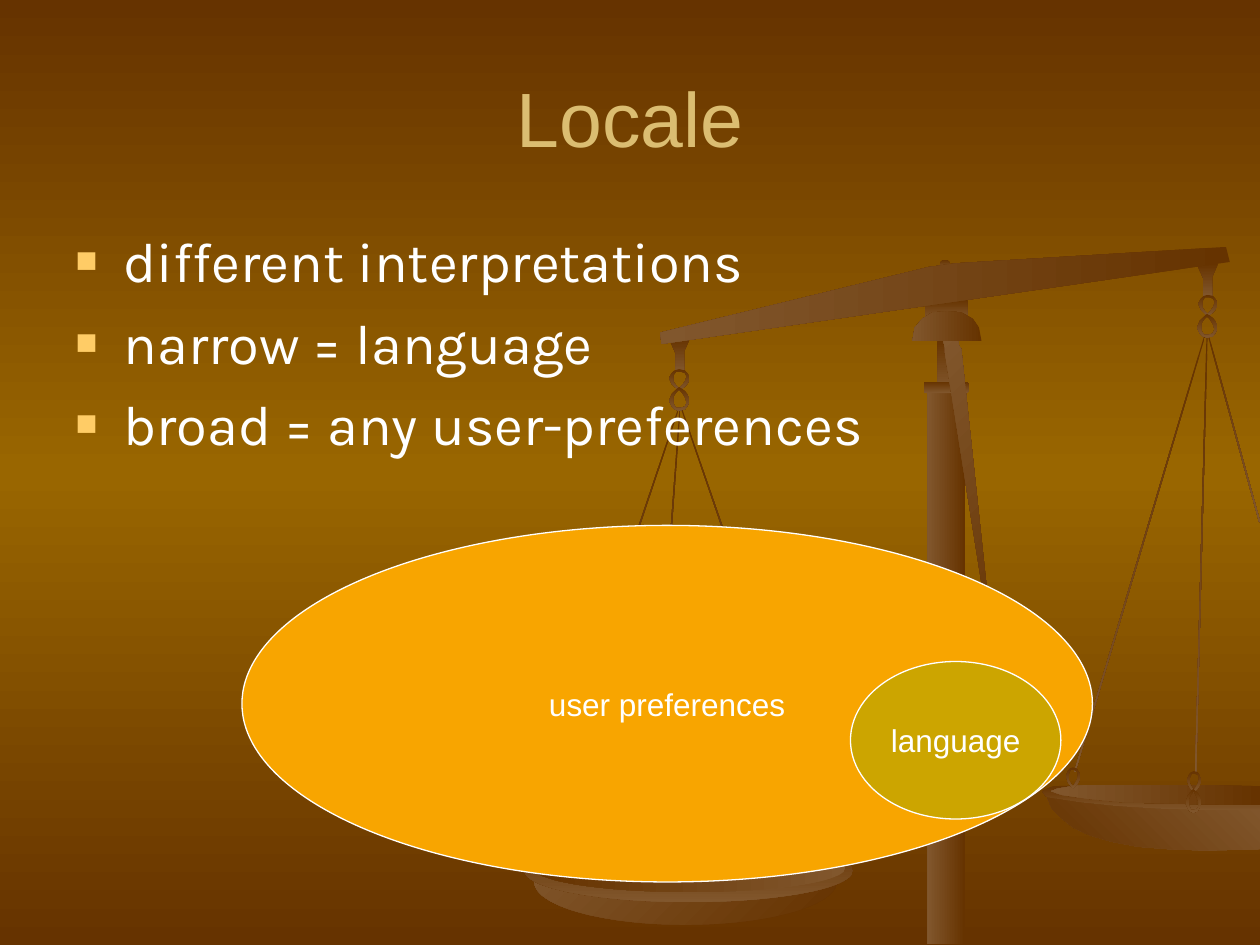
from lxml.etree import SubElement
from pptx import Presentation
from pptx.dml.color import RGBColor
from pptx.enum.shapes import MSO_SHAPE as Preset
from pptx.enum.text import MSO_ANCHOR as Anchor, MSO_AUTO_SIZE as AutoSize, PP_ALIGN as Align
from pptx.oxml.ns import qn
from pptx.util import Pt

SCALE = 9144  # EMU per px, 100 px to the inch
COLORS = {
    "brown": "663300", "ochre": "996600", "bronze": "81572D",
    "title": "DBBD71", "bullet": "FFCC66", "text": "FFFFFF",
    "preferences": "F8A500", "language": "CCA500",
}

# Outlines shared by the repeated parts of the balance
HOOK = [[(17, 0), (0, 1), (5, 12), (5, 27), (12, 27), (12, 11)]]
RING = [
    [(7, 17), (11, 14), (14, 10), (14, 5), (11, 1), (7, 0),
     (4, 1), (2, 3), (0, 7), (2, 12), (5, 15)],
    [(8, 2), (11, 3), (12, 5), (12, 7), (11, 10), (9, 13),
     (7, 15), (5, 13), (3, 10), (3, 5), (5, 2)],
]
RING_UP = [[(x, 17 - y) for x, y in contour] for contour in RING]

# Left, top, width, height of each ring
UPPER_RINGS = [(846, 609, 11, 17), (531, 293, 16, 17), (951, 234, 15, 17),
               (942, 612, 11, 17), (509, 655, 15, 16), (650, 658, 16, 17)]
LOWER_RINGS = [(531, 307, 16, 19), (950, 249, 16, 19), (656, 672, 16, 19),
               (941, 626, 12, 19), (417, 672, 13, 16)]

# Left, top, length and rotation of each cord
CORDS = [(904, 260, 360, 16.6), (953, 266, 347, 1.5), (979, 264, 153, 344.6),
         (598, 315, 353, 341), (479, 316, 368, 18.6), (527, 325, 331, 4.2)]

# Single outlines
FOOT = [(697, 528), (724, 531), (739, 531), (757, 530), (778, 528), (802, 524),
        (804, 544), (782, 548), (768, 551), (751, 552), (733, 552), (714, 551), (696, 547)]
PAN_RIM = [(958, 624), (897, 624), (865, 623), (836, 624), (831, 626), (827, 628),
           (830, 632), (842, 636), (863, 639), (894, 642), (935, 644), (958, 645),
           (1000, 645), (1000, 626), (980, 626)]
PAN_BOWL = [(831, 633), (835, 642), (842, 649), (852, 657), (865, 663), (882, 668),
            (903, 672), (928, 674), (957, 675), (1000, 674), (1000, 643), (953, 643),
            (918, 642), (886, 640), (857, 637)]
PAN_INSIDE = [(956, 623), (862, 623), (851, 624), (839, 626), (834, 628), (843, 631),
              (863, 634), (893, 637), (933, 638), (978, 639), (1000, 639), (1000, 624)]
BEAM = [(973, 196), (976, 208), (525, 273), (524, 264), (737, 212), (759, 209)]
POINTER = [(791, 539), (750, 280), (750, 276), (748, 268), (760, 265), (761, 274), (763, 277)]
CAP = [(752, 247), (763, 248), (772, 253), (777, 260), (779, 271),
       (724, 271), (726, 260), (732, 253), (740, 248)]


def px(value):
    return round(value * SCALE)


def color(name):
    return RGBColor.from_string(COLORS[name])


def set_gradient(fill, first, last, angle):
    fill.gradient()
    fill.gradient_angle = 360 - angle  # python-pptx counts anticlockwise
    for stop, name, position in zip(fill.gradient_stops, (first, last), (0, 1)):
        stop.color.rgb = color(name)
        stop.position = position


def paint_metal(shape, angle=90, light_first=False):
    names = ("bronze", "brown") if light_first else ("brown", "bronze")
    set_gradient(shape.fill, *names, angle)
    shape.line.fill.background()
    shape.shadow.inherit = False


def add_metal(shapes, preset, box, angle=90, light_first=False):
    shape = shapes.add_shape(preset, *map(px, box))
    paint_metal(shape, angle, light_first)
    return shape


def add_outline(shapes, contours, angle=90, light_first=False):
    first, *others = [[(px(x), px(y)) for x, y in contour] for contour in contours]
    builder = shapes.build_freeform(*first[0])
    builder.add_line_segments(first[1:], close=True)
    for contour in others:
        builder.move_to(*contour[0])
        builder.add_line_segments(contour[1:], close=True)
    paint_metal(builder.convert_to_shape(), angle, light_first)


def place(contours, left, top, x_scale=1, y_scale=1):
    return [[(left + x * x_scale, top + y * y_scale) for x, y in contour]
            for contour in contours]


def add_rings(shapes, contours, boxes):
    for left, top, width, height in boxes:
        add_outline(shapes, place(contours, left, top, width / 14, height / 17))


def add_balance(slide):
    group = slide.shapes.add_group_shape()
    shapes = group.shapes
    # Pivot and cords
    add_metal(shapes, Preset.RECTANGLE, (734, 237, 34, 18))
    add_metal(shapes, Preset.OVAL, (746, 206, 8, 8))
    for left, top, length, rotation in CORDS:
        add_metal(shapes, Preset.RECTANGLE, (left, top, 1, length)).rotation = rotation
    # Foot and right pan
    add_outline(shapes, [FOOT])
    add_outline(shapes, [PAN_RIM])
    add_outline(shapes, [PAN_BOWL], 135, True)
    add_outline(shapes, [PAN_INSIDE], 180)
    # Hooks, rings and beam
    for left, top in ((531, 268), (950, 209)):
        add_outline(shapes, place(HOOK, left, top))
    add_rings(shapes, RING, UPPER_RINGS)
    add_rings(shapes, RING_UP, LOWER_RINGS)
    add_outline(shapes, [BEAM], 180)
    # Left pan
    add_metal(shapes, Preset.OVAL, (424, 666, 240, 68), 225)
    add_metal(shapes, Preset.OVAL, (416, 666, 261, 50))
    add_metal(shapes, Preset.OVAL, (424, 670, 247, 38), 180, True)
    # Post, pointer and cap
    add_metal(shapes, Preset.RECTANGLE, (736, 308, 30, 441), 180)
    add_metal(shapes, Preset.RECTANGLE, (744, 268, 13, 42))
    add_metal(shapes, Preset.ROUNDED_RECTANGLE, (733, 303, 36, 9))
    add_outline(shapes, [POINTER], 225)
    add_outline(shapes, [CAP], 180)
    # Behind the placeholders
    slide.shapes._spTree.insert(2, group._element)


def set_background(slide):
    fill = slide.background.fill
    set_gradient(fill, "brown", "brown", 90)
    stops = slide.background._cSld.find(".//" + qn("a:gsLst"))
    middle = SubElement(stops, qn("a:gs"), pos="50000")
    SubElement(middle, qn("a:srgbClr"), val=COLORS["ochre"])
    stops.insert(1, middle)


def add_run(paragraph, text, size, font_name, color_name):
    run = paragraph.add_run()
    run.text = text
    run.font.size = Pt(size)
    run.font.name = font_name
    run.font.color.rgb = color(color_name)


def set_box(shape, left, top, width, height):
    shape.left, shape.top, shape.width, shape.height = map(px, (left, top, width, height))


def fill_title(shape, text):
    set_box(shape, 50, 30, 900, 125)
    shape.text_frame.vertical_anchor = Anchor.MIDDLE
    paragraph = shape.text_frame.paragraphs[0]
    paragraph.alignment = Align.CENTER
    add_run(paragraph, text, 44, "Arial", "title")


def add_bullet(paragraph):
    properties = paragraph._p.get_or_add_pPr()
    properties.set("marL", str(px(38)))
    properties.set("indent", str(px(-38)))
    bullet_color = SubElement(properties, qn("a:buClr"))
    SubElement(bullet_color, qn("a:srgbClr"), val=COLORS["bullet"])
    SubElement(properties, qn("a:buSzPct"), val="65000")
    SubElement(properties, qn("a:buFont"), typeface="Arial")
    SubElement(properties, qn("a:buChar"), char="■")


def fill_list(shape, items):
    set_box(shape, 50, 175, 900, 495)
    frame = shape.text_frame
    frame.auto_size = AutoSize.NONE
    for index, item in enumerate(items):
        paragraph = frame.add_paragraph() if index else frame.paragraphs[0]
        add_bullet(paragraph)
        paragraph.space_before = Pt(8 if index else 0)
        add_run(paragraph, item, 32, "Karla", "text")


def add_set(slide, text, box, fill_name):
    shape = slide.shapes.add_shape(Preset.OVAL, *map(px, box))
    shape.shadow.inherit = False
    shape.fill.solid()
    shape.fill.fore_color.rgb = color(fill_name)
    shape.line.color.rgb = color("text")
    shape.line.width = Pt(0.75)
    frame = shape.text_frame
    frame.word_wrap = False
    frame.vertical_anchor = Anchor.MIDDLE
    frame.paragraphs[0].alignment = Align.CENTER
    add_run(frame.paragraphs[0], text, 18, "Arial", "text")


def main():
    presentation = Presentation()
    presentation.slide_width, presentation.slide_height = px(1000), px(750)
    slide = presentation.slides.add_slide(presentation.slide_layouts[1])
    set_background(slide)
    add_balance(slide)
    fill_title(slide.shapes.title, "Locale")
    fill_list(slide.placeholders[1], [
        "different interpretations", "narrow = language", "broad = any user-preferences"])
    # Language as a subset of the user preferences
    add_set(slide, "user preferences", (192, 417, 675, 283), "preferences")
    add_set(slide, "language", (675, 525, 167, 125), "language")
    presentation.save("out.pptx")


if __name__ == "__main__":
    main()
